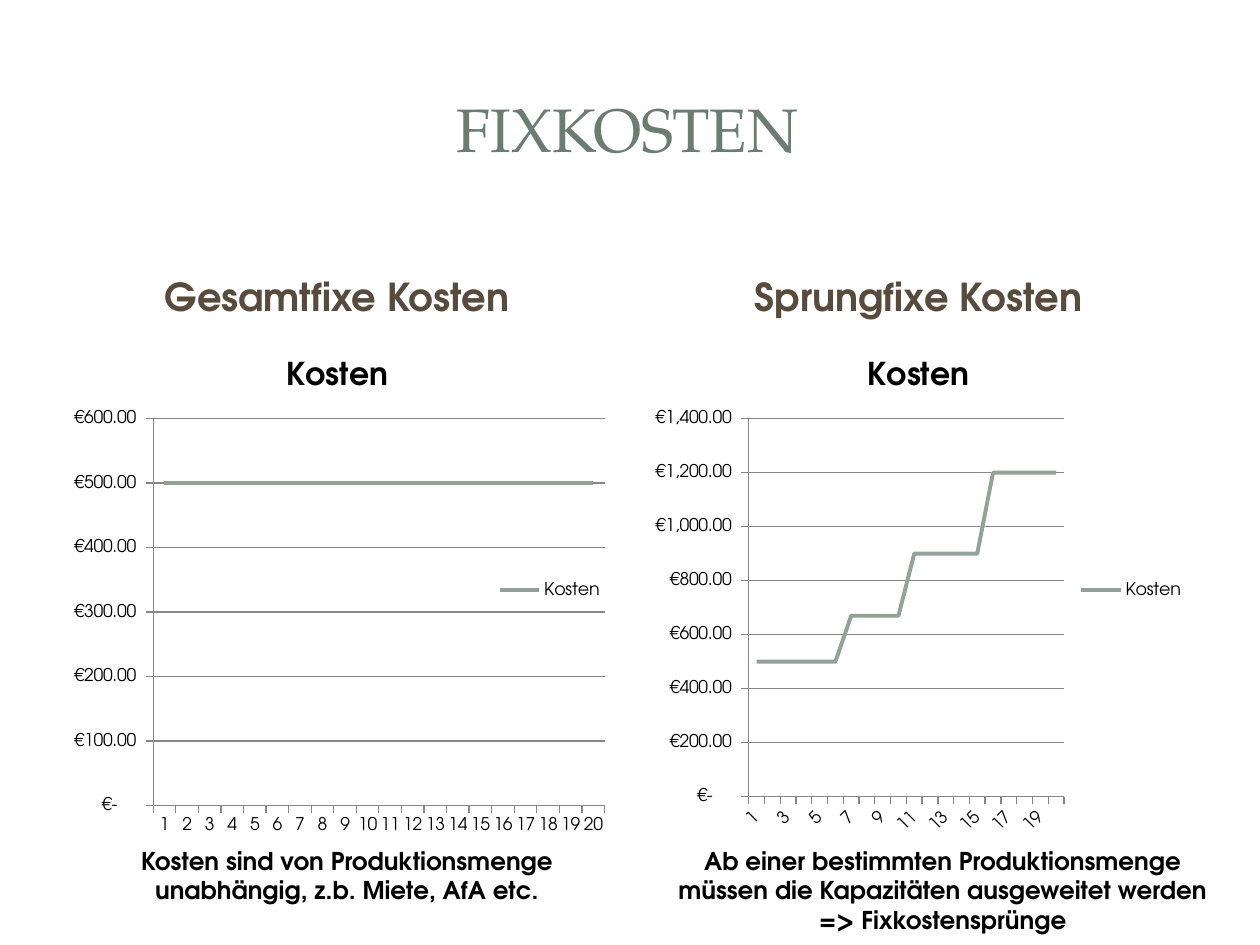
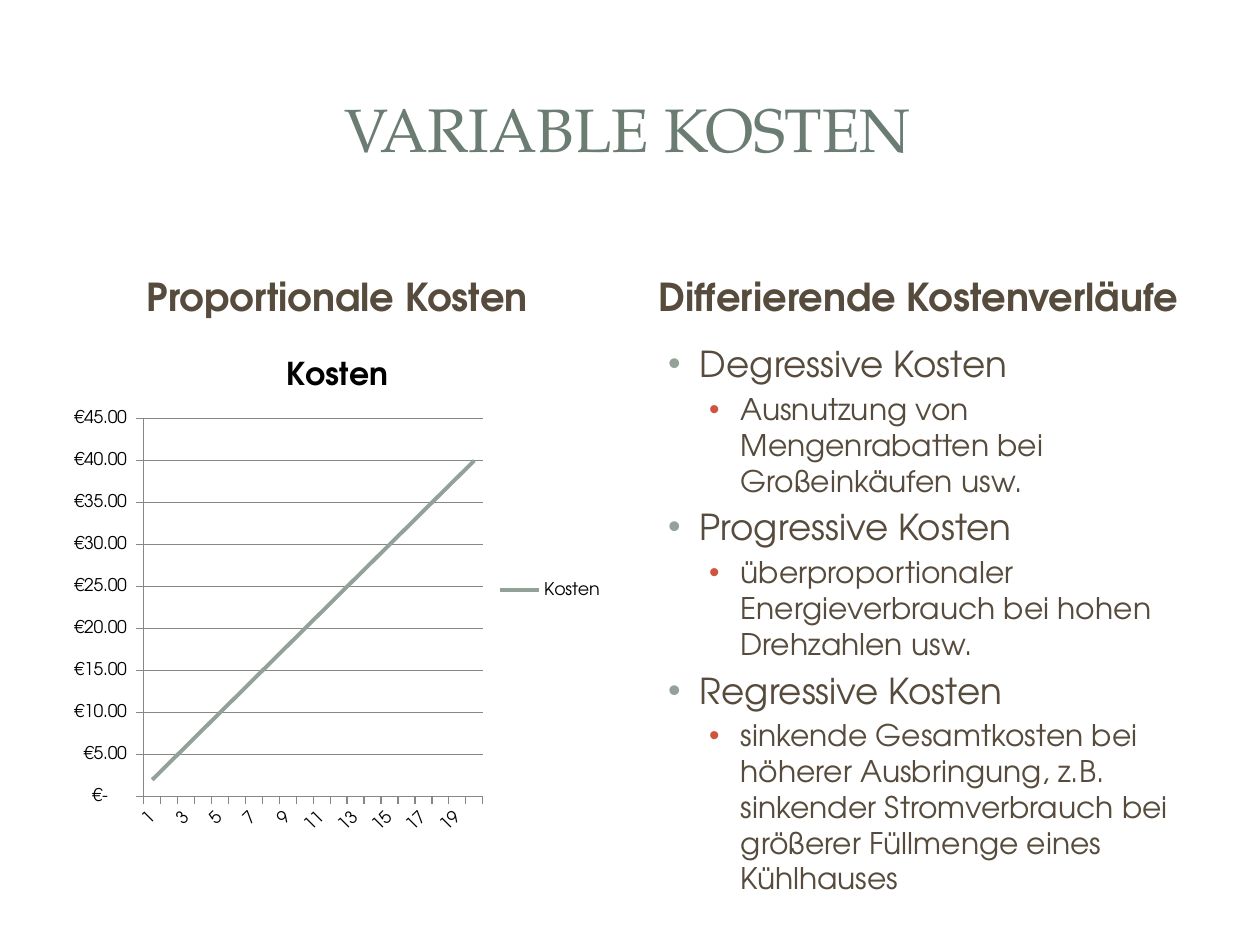
from collections import namedtuple

from lxml import etree
from pptx import Presentation
from pptx.chart import data as chart_data
from pptx.dml.color import RGBColor
from pptx.enum import chart as chart_enum, shapes, text
from pptx.oxml import ns
from pptx.util import Pt

Box = namedtuple("Box", "left top width height")

# Shared look
SANS, SERIF = "TeX Gyre Adventor", "TeX Gyre Pagella"
SAGE, DARK_SAGE, BROWN = "93A299", "6B7D72", "564B3C"
RED, BLACK, WHITE, GRID_GREY = "CF543F", "000000", "FFFFFF", "878787"
EURO = '_("€"* #,##0.00_);_("€"* \\(#,##0.00\\);_("€"* "-"??_);_(@_)'

# Shared frames behind the title: preset, box, opacity in percent
RECTANGLE = shapes.MSO_SHAPE.RECTANGLE
ROUNDED = shapes.MSO_SHAPE.ROUNDED_RECTANGLE
FRAMES = [
    (ROUNDED, Box(7.2, 7.92, 705.6, 524.88), 100),
    (RECTANGLE, Box(21.6, 21.6, 676.8, 104.4), 83),
    (RECTANGLE, Box(29.52, 29.52, 660.24, 87.84), 100),
]

# Shared grid: a title above two columns
TITLE_BOX = Box(33.6, 32, 650.16, 82.08)
COLUMNS = [Box(left, 135.36, 318.24, 346.8) for left in (33.6, 365.76)]
HEADING_HEIGHT, CONTENT_OFFSET = 50.4, 56.64
CAPTION_TOP = 479.8

# Slide content
QUANTITIES = range(1, 21)
FIXED_COSTS = [500] * 20
STEP_COSTS = [500] * 6 + [670] * 4 + [900] * 5 + [1200] * 5
PROPORTIONAL_COSTS = [2 * quantity for quantity in QUANTITIES]
COST_CURVES = [
    ("Degressive Kosten", "Ausnutzung von Mengenrabatten bei Großeinkäufen usw."),
    ("Progressive Kosten",
     "überproportionaler Energieverbrauch bei hohen Drehzahlen usw."),
    ("Regressive Kosten",
     "sinkende Gesamtkosten bei höherer Ausbringung, z.B. sinkender "
     "Stromverbrauch bei größerer Füllmenge eines Kühlhauses"),
]


def color(hex_code):
    return RGBColor.from_string(hex_code)


def style_font(font, size, hex_code, bold=False, name=SANS):
    font.name, font.size, font.bold = name, Pt(size), bold
    font.color.rgb = color(hex_code)


def points(box):
    return [Pt(value) for value in box]


def add_text(page, box, anchor=text.MSO_ANCHOR.TOP):
    frame = page.shapes.add_textbox(*points(box)).text_frame
    frame.word_wrap = True
    frame.vertical_anchor = anchor
    return frame


def write(para, words, size, hex_code, bold=False, name=SANS,
          align=text.PP_ALIGN.CENTER):
    para.text = words
    para.alignment = align
    style_font(para.runs[0].font, size, hex_code, bold, name)


def add_bullet(para, hex_code, margin, hanging):
    props = para._p.get_or_add_pPr()
    props.set("marL", str(Pt(margin)))
    props.set("indent", str(Pt(-hanging)))
    bullet_color = etree.SubElement(props, ns.qn("a:buClr"))
    etree.SubElement(bullet_color, ns.qn("a:srgbClr"), val=hex_code)
    etree.SubElement(props, ns.qn("a:buFont"), typeface="Arial")
    etree.SubElement(props, ns.qn("a:buChar"), char="•")


def add_frames(page):
    for preset, box, opacity in FRAMES:
        shape = page.shapes.add_shape(preset, *points(box))
        shape.shadow.inherit = False
        shape.fill.solid()
        shape.fill.fore_color.rgb = color(WHITE)
        shape.line.fill.background()
        if preset == ROUNDED:
            shape.adjustments[0] = 0.017
        if opacity < 100:
            fill = shape.element.spPr.find(ns.qn("a:solidFill"))
            etree.SubElement(fill[0], ns.qn("a:alpha"), val=str(opacity * 1000))
        # Keep the frames behind the title
        page.shapes.title.element.addprevious(shape.element)


def add_page(deck, title):
    page = deck.slides.add_slide(deck.slide_layouts[5])
    add_frames(page)
    holder = page.shapes.title
    holder.left, holder.top, holder.width, holder.height = points(TITLE_BOX)
    frame = holder.text_frame
    frame.auto_size = text.MSO_AUTO_SIZE.NONE
    frame.vertical_anchor = text.MSO_ANCHOR.MIDDLE
    write(frame.paragraphs[0], title, 35, DARK_SAGE, name=SERIF)
    return page


def add_heading(page, column, words):
    box = column._replace(height=HEADING_HEIGHT)
    para = add_text(page, box, text.MSO_ANCHOR.BOTTOM).paragraphs[0]
    write(para, words, 22, BROWN, bold=True)


def content_box(column):
    return column._replace(top=column.top + CONTENT_OFFSET,
                           height=column.height - CONTENT_OFFSET)


def add_cost_chart(page, column, costs, legend_overlay=False):
    data = chart_data.CategoryChartData(number_format=EURO)
    data.categories = [str(quantity) for quantity in QUANTITIES]
    data.add_series("Kosten", costs)
    chart = page.shapes.add_chart(chart_enum.XL_CHART_TYPE.LINE,
                                  *points(content_box(column)), data).chart
    style_font(chart.font, 10, BLACK)

    # Title and legend
    chart.has_title = True
    para = chart.chart_title.text_frame.paragraphs[0]
    para.text = "Kosten"
    style_font(para.runs[0].font, 18, BLACK, bold=True)
    chart.has_legend = True
    chart.legend.position = chart_enum.XL_LEGEND_POSITION.RIGHT
    chart.legend.include_in_layout = legend_overlay

    # Axes and gridlines
    values = chart.value_axis
    values.has_major_gridlines = True
    values.tick_labels.number_format = EURO
    values.tick_labels.number_format_is_linked = False
    for axis in (chart.category_axis, values):
        axis.major_tick_mark = chart_enum.XL_TICK_MARK.OUTSIDE
        axis.minor_tick_mark = chart_enum.XL_TICK_MARK.NONE
    for part in (chart.category_axis, values, values.major_gridlines):
        part.format.line.color.rgb = color(GRID_GREY)
        part.format.line.width = Pt(0.75)

    # Cost line
    chart.plots[0].vary_by_categories = False
    series = chart.plots[0].series[0]
    series.smooth = False
    series.marker.style = chart_enum.XL_MARKER_STYLE.NONE
    series.format.line.color.rgb = color(SAGE)
    series.format.line.width = Pt(2.25)


def add_caption(page, box, words):
    write(add_text(page, box).paragraphs[0], words, 14, BLACK, bold=True)


def add_curve_list(page, column):
    frame = add_text(page, content_box(column))
    para = frame.paragraphs[0]
    for curve, example in COST_CURVES:
        for level, words, size, dot, margin in (
                (0, curve, 20.4, SAGE, 27), (1, example, 17, RED, 50.4)):
            if para.text:
                para = frame.add_paragraph()
            write(para, words, size, BROWN, align=text.PP_ALIGN.LEFT)
            para.level = level
            para.space_before = Pt(round(0.2 * size, 1))
            add_bullet(para, dot, margin, 18)


def build_fixed_costs(deck):
    page = add_page(deck, "FIXKOSTEN")
    left, right = COLUMNS
    add_heading(page, left, "Gesamtfixe Kosten")
    add_heading(page, right, "Sprungfixe Kosten")
    add_cost_chart(page, left, FIXED_COSTS, legend_overlay=True)
    add_cost_chart(page, right, STEP_COSTS)
    add_caption(page, Box(371.3, CAPTION_TOP, 334.8, 58.32),
                "Ab einer bestimmten Produktionsmenge müssen die Kapazitäten "
                "ausgeweitet werden => Fixkostensprünge")
    add_caption(page, Box(42.48, CAPTION_TOP, 311.76, 41.04),
                "Kosten sind von Produktionsmenge unabhängig, "
                "z.b. Miete, AfA etc.")


def build_variable_costs(deck):
    page = add_page(deck, "VARIABLE KOSTEN")
    left, right = COLUMNS
    add_heading(page, left, "Proportionale Kosten")
    add_heading(page, right, "Differierende Kostenverläufe")
    add_curve_list(page, right)
    add_cost_chart(page, left, PROPORTIONAL_COSTS)


def main():
    deck = Presentation()
    deck.slide_width, deck.slide_height = Pt(720), Pt(540)
    build_fixed_costs(deck)
    build_variable_costs(deck)
    deck.save("out.pptx")


if __name__ == "__main__":
    main()
